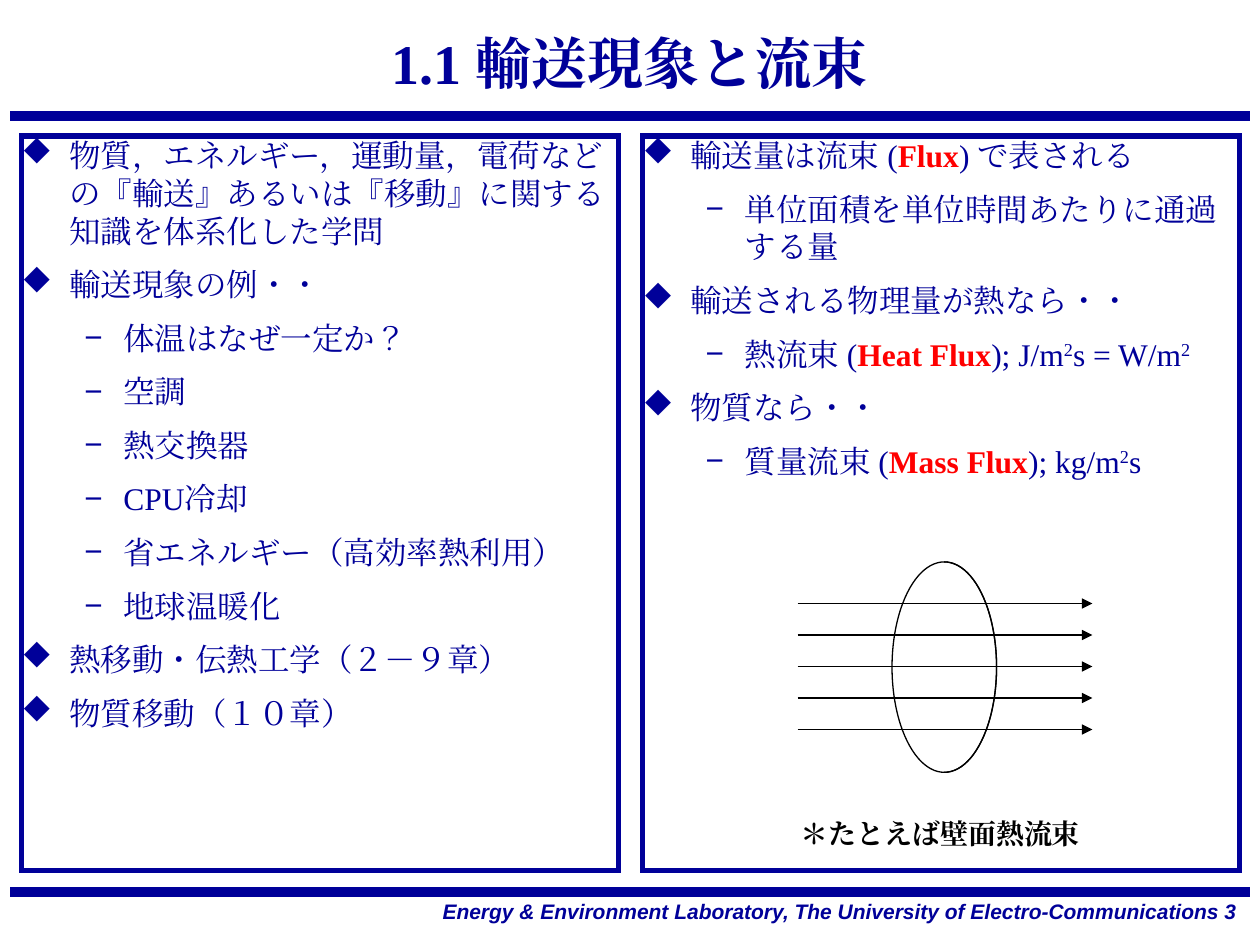
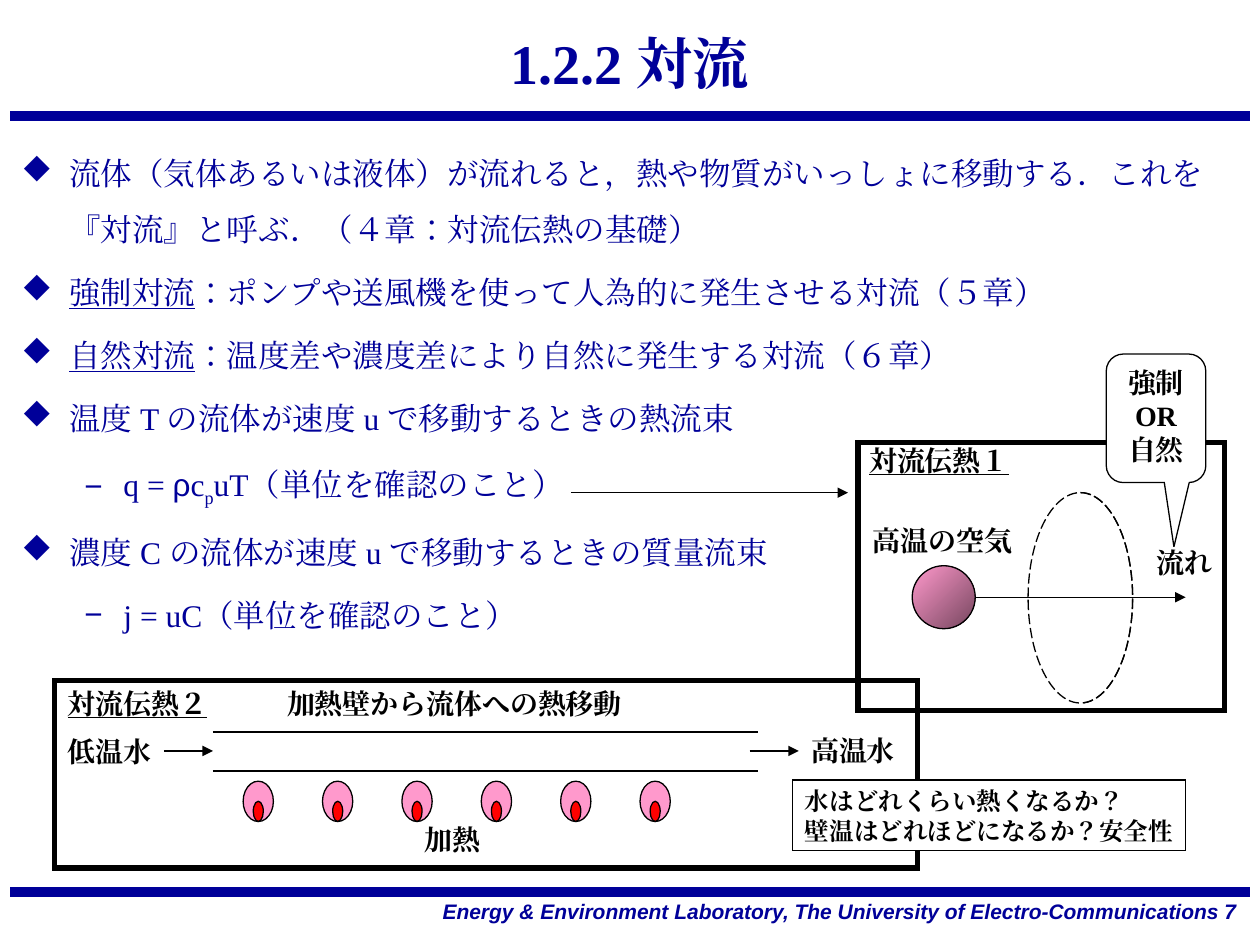
import pptx
import pptx.util
import pptx.dml.color
import pptx.enum.dml
import pptx.enum.lang
import pptx.enum.shapes
import pptx.enum.text
import pptx.oxml.ns
from lxml import etree

Inches = pptx.util.Inches
Pt = pptx.util.Pt
SHAPE = pptx.enum.shapes.MSO_SHAPE
ALIGN = pptx.enum.text.PP_ALIGN
ANCHOR = pptx.enum.text.MSO_ANCHOR
qn = pptx.oxml.ns.qn

COLORS = {"navy": "000099", "red": "FF0000", "black": "000000",
          "white": "FFFFFF", "pink": "FF99CC", "plum": "76465E"}
SERIF, SANS = "Times New Roman", "Arial"
FOOTER = "Energy & Environment Laboratory, The University of Electro-Communications"
# Bullet, its font and charset, left margin and hanging indent of each level;
# "u" is the diamond of the symbol font
LEVELS = [("u", "Wingdings", "2", 0.38, -0.38), ("−", SANS, "0", 0.81, -0.31)]

# Content: each item is a level and its runs; a run is text or (text, style)
TOPICS = [
    (0, ["物質，エネルギー，運動量，電荷などの『輸送』あるいは『移動』に関する知識を体系化した学問"]),
    (0, ["輸送現象の例・・"]),
    (1, ["体温はなぜ一定か？"]),
    (1, ["空調"]),
    (1, ["熱交換器"]),
    (1, ["CPU冷却"]),
    (1, ["省エネルギー（高効率熱利用）"]),
    (1, ["地球温暖化"]),
    (0, ["熱移動・伝熱工学（２－９章）"]),
    (0, ["物質移動（１０章）"]),
]
FLUXES = [
    (0, ["輸送量は流束 (", ("Flux", "key"), ") で表される"]),
    (1, ["単位面積を単位時間あたりに通過する量"]),
    (0, ["輸送される物理量が熱なら・・"]),
    (1, ["熱流束 (", ("Heat Flux", "key"), "); J/m", ("2", "sup"), "s = W/m", ("2", "sup")]),
    (0, ["物質なら・・"]),
    (1, ["質量流束 (", ("Mass Flux", "key"), "); kg/m", ("2", "sup"), "s"]),
]
FLOWS = [
    (0, ["流体（気体あるいは液体）が流れると，熱や物質がいっしょに移動する．これを『対流』と呼ぶ．（４章：対流伝熱の基礎）"]),
    (0, [("強制対流", "under"), "：ポンプや送風機を使って人為的に発生させる対流（５章）"]),
    (0, [("自然対流", "under"), "：温度差や濃度差により自然に発生する対流（６章）"]),
    (0, ["温度 T の流体が速度 u で移動するときの熱流束"]),
    (1, ["q = ", ("ρ", "sans"), "c", ("p", "sub"), "uT（単位を確認のこと）"]),
    (0, ["濃度 C の流体が速度 u で移動するときの質量流束"]),
    (1, ["j = uC（単位を確認のこと）"]),
]
# Labels: text, box, underlined
LABELS = [
    ("流れ", (9.08, 4.28, 0.64, 0.36), False),
    ("高温の空気", (6.83, 4.11, 1.31, 0.36), False),
    ("低温水", (0.44, 5.78, 0.86, 0.36), False),
    ("高温水", (6.34, 5.77, 0.86, 0.36), False),
    ("加熱", (3.27, 6.48, 0.64, 0.36), False),
    ("加熱壁から流体への熱移動", (2.18, 5.4, 2.86, 0.36), False),
    ("対流伝熱１", (6.8, 3.47, 1.31, 0.36), True),
    ("対流伝熱２", (0.44, 5.4, 1.31, 0.36), True),
]
CALLOUT = ["強制", "OR", "自然"]
ASIDE = ["水はどれくらい熱くなるか？", "壁温はどれほどになるか？安全性"]


def rgb(name):
    return pptx.dml.color.RGBColor.from_string(COLORS[name])


def place(box):
    return [Inches(v) for v in box]


def style(font, size, color="black", face=SERIF, bold=True):
    font.name, font.size, font.bold = face, Pt(size), bold
    font.color.rgb = rgb(color)
    font.language_id = pptx.enum.lang.MSO_LANGUAGE_ID.JAPANESE
    etree.SubElement(font._rPr, qn("a:ea"), typeface=face)


def stroke(line, width, color="black", dash=False):
    line.width = Pt(width)
    line.color.rgb = rgb(color)
    if dash:
        line.dash_style = pptx.enum.dml.MSO_LINE.LONG_DASH
    etree.SubElement(line._get_or_add_ln(), qn("a:miter"), lim="800000")


def line(slide, start, end, width=0.75, color="black", arrow=False):
    link = slide.shapes.add_connector(
        pptx.enum.shapes.MSO_CONNECTOR.STRAIGHT, *place(start + end))
    stroke(link.line, width, color)
    if arrow:
        etree.SubElement(link.line._get_or_add_ln(), qn("a:tailEnd"), type="triangle")
    etree.SubElement(link._element.spPr, qn("a:effectLst"))


def shape(slide, kind, box, fill=None, width=0.75, dash=False):
    item = slide.shapes.add_shape(kind, *place(box))
    item.shadow.inherit = False
    if fill:
        item.fill.solid()
        item.fill.fore_color.rgb = rgb(fill)
    else:
        item.fill.background()
    stroke(item.line, width, dash=dash)
    return item


def write(item, rows, size, align=ALIGN.LEFT, wrap=True, under=False, **look):
    frame = item.text_frame
    frame.word_wrap = wrap
    frame.vertical_anchor = ANCHOR.TOP
    if not wrap:
        # Spare room keeps each row whole
        frame.margin_right = 0
        if align == ALIGN.CENTER:
            frame.margin_left = 0
    for i, row in enumerate(rows):
        para = frame.add_paragraph() if i else frame.paragraphs[0]
        para.alignment = align
        para.add_run().text = row
        style(para.font, size, **look)
        if under:
            para.font.underline = True
    return frame


def label(slide, text, box, size=16, **look):
    return write(slide.shapes.add_textbox(*place(box)), [text], size, **look)


def clear(frame):
    frame.margin_left = frame.margin_right = 0
    frame.margin_top = frame.margin_bottom = 0


def accent(run, kind):
    if kind == "key":
        run.font.bold = True
        run.font.color.rgb = rgb("red")
    elif kind == "under":
        run.font.underline = True
    elif kind == "sans":
        run.font.name = SANS
    else:
        run._r.get_or_add_rPr().set("baseline", {"sup": "30000", "sub": "-25000"}[kind])


def bullet(para, level):
    para.level = level
    mark, face, charset, left, hang = LEVELS[level]
    props = para._p.get_or_add_pPr()
    props.set("marL", str(Inches(left)))
    props.set("indent", str(Inches(hang)))
    tint = etree.SubElement(props, qn("a:buClr"))
    etree.SubElement(tint, qn("a:srgbClr"), val=COLORS["navy"])
    etree.SubElement(props, qn("a:buFont"), typeface=face, charset=charset)
    etree.SubElement(props, qn("a:buChar"), char=mark)


def outline(slide, box, items, before, lead=None, border=False):
    item = slide.shapes.add_textbox(*place(box))
    if border:
        stroke(item.line, 3, "navy")
    frame = item.text_frame
    frame.word_wrap = True
    clear(frame)
    for i, (level, runs) in enumerate(items):
        para = frame.add_paragraph() if i else frame.paragraphs[0]
        bullet(para, level)
        if i:
            para.space_before = Pt(before)
        if lead:
            para.line_spacing = lead
        style(para.font, 18, "navy", bold=False)
        for part in runs:
            text, kind = (part, None) if isinstance(part, str) else part
            run = para.add_run()
            run.text = text
            if kind:
                accent(run, kind)


def ring(slide, box, dash=False):
    # A section of the flow, its near half drawn again on top
    shape(slide, SHAPE.OVAL, box, dash=dash)
    arc = shape(slide, SHAPE.ARC, box, dash=dash)
    arc.adjustments[1] = 54


def base(deck, title, number):
    slide = deck.slides.add_slide(deck.slide_layouts[6])
    for y in (7.08, 0.92):
        line(slide, (0.08, y), (9.92, y), 6, "navy")
    foot = label(slide, f"{FOOTER} {number}", (1.54, 7.08, 8.38, 0.33), 12,
                 align=ALIGN.RIGHT, color="navy", face=SANS)
    foot.paragraphs[0].font.italic = True
    head = label(slide, title, (0.08, 0.08, 9.83, 0.83), 32,
                 align=ALIGN.CENTER, color="navy")
    clear(head)
    head.vertical_anchor = ANCHOR.MIDDLE
    return slide


def transport(deck):
    slide = base(deck, "1.1 輸送現象と流束", 3)
    for x, items in ((0.17, TOPICS), (5.1, FLUXES)):
        outline(slide, (x, 1.08, 4.74, 5.83), items, 9, border=True)
    # Flux through a section
    for i in range(5):
        y = 4.79 + i * 0.25
        line(slide, (6.33, y), (8.67, y), arrow=True)
    ring(slide, (7.08, 4.46, 0.83, 1.67))
    label(slide, "＊たとえば壁面熱流束", (6.26, 6.43, 2.41, 0.36),
          align=ALIGN.CENTER, wrap=False)


def convect(deck):
    slide = base(deck, "1.2.2 対流", 7)
    outline(slide, (0.17, 1.07, 9.67, 4.75), FLOWS, 3.6, lead=1.5)

    # Hot air carried by a flow
    ball = shape(slide, SHAPE.OVAL, (7.24, 4.49, 0.5, 0.5))
    ball.fill.gradient()
    ball.fill.gradient_angle = 315
    for stop, name in zip(ball.fill.gradient_stops, ("pink", "plum")):
        stop.color.rgb = rgb(name)
    line(slide, (7.74, 4.74), (9.41, 4.74), arrow=True)
    ring(slide, (8.16, 3.91, 0.83, 1.67), dash=True)

    # Heated pipe with burners
    for y in (5.81, 6.12):
        line(slide, (1.69, y), (6.02, y), 1.5)
    for i in range(6):
        x = 1.93 + i * 0.63
        shape(slide, SHAPE.OVAL, (x, 6.2, 0.24, 0.32), "pink")
        shape(slide, SHAPE.OVAL, (x + 0.08, 6.36, 0.08, 0.16), "red")
    for x in (1.3, 5.95):
        line(slide, (x, 5.96), (x + 0.39, 5.96), arrow=True)

    # Labels, frames and notes
    for text, box, under in LABELS:
        label(slide, text, box, wrap=False, under=under)
    for box in ((6.81, 3.51, 2.91, 2.13), (0.43, 5.4, 6.85, 1.49)):
        shape(slide, SHAPE.RECTANGLE, box, width=3)
    line(slide, (4.53, 3.91), (6.73, 3.91), arrow=True)
    bubble = shape(slide, SHAPE.ROUNDED_RECTANGULAR_CALLOUT,
                   (8.78, 2.81, 0.79, 1.02), "white")
    for i, value in enumerate((0.18, 1, 0.17)):
        bubble.adjustments[i] = value
    write(bubble, CALLOUT, 16, ALIGN.CENTER)
    # Square wrap with a free right margin holds the note at its left edge
    aside = shape(slide, SHAPE.RECTANGLE, (6.29, 6.19, 3.12, 0.56), "white")
    write(aside, ASIDE, 14).margin_right = 0


def main():
    deck = pptx.Presentation()
    deck.slide_width, deck.slide_height = Inches(10), Inches(7.5)
    transport(deck)
    convect(deck)
    deck.save("out.pptx")


if __name__ == "__main__":
    main()
